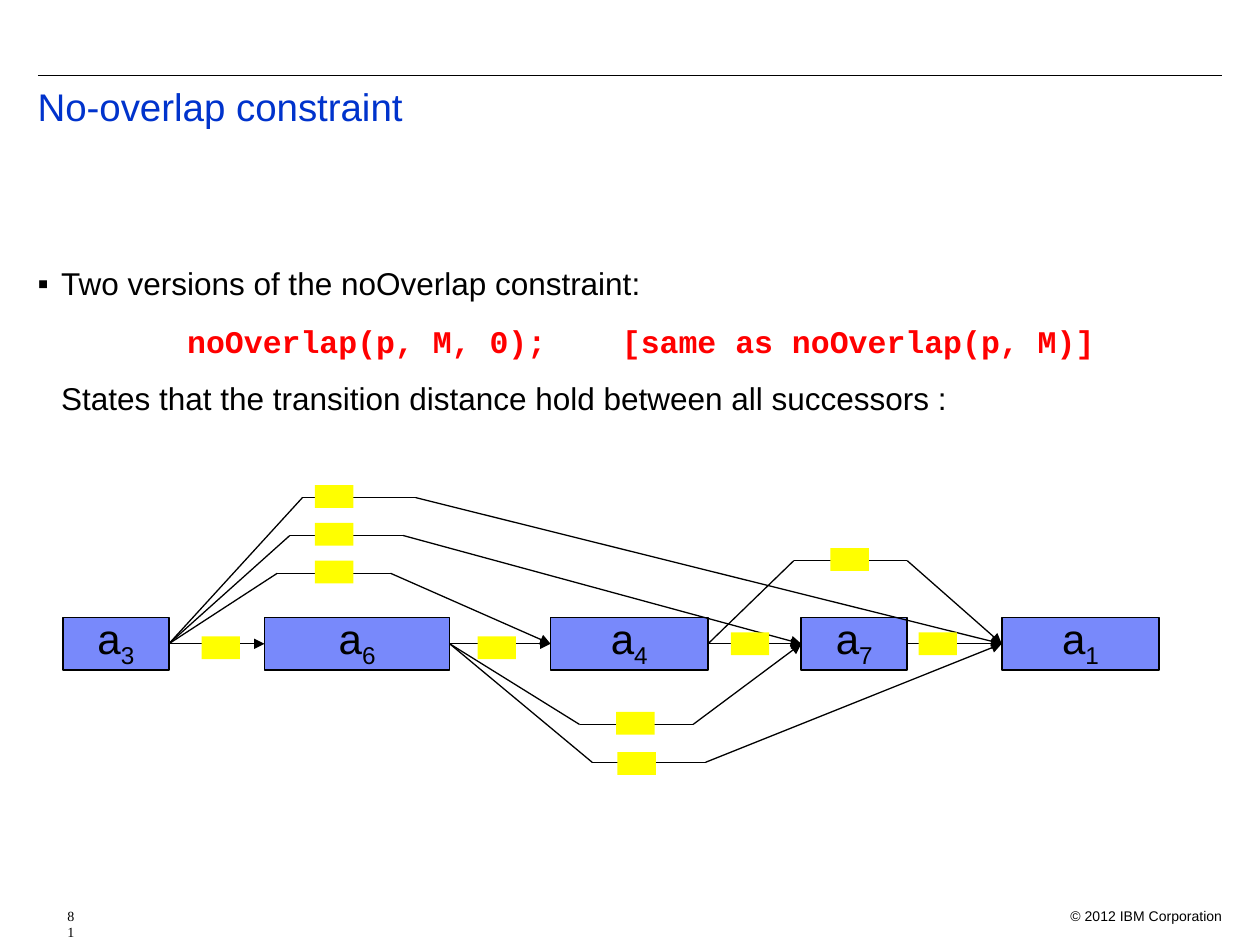
from itertools import pairwise

from lxml.etree import SubElement
from pptx import Presentation
from pptx.dml.color import RGBColor
from pptx.enum.shapes import MSO_CONNECTOR, MSO_SHAPE
from pptx.enum.text import MSO_ANCHOR, PP_ALIGN
from pptx.oxml.ns import qn
from pptx.util import Pt

BLACK = RGBColor(0x00, 0x00, 0x00)
TITLE_BLUE = RGBColor(0x00, 0x33, 0xCC)
CODE_RED = RGBColor(0xFF, 0x00, 0x00)
ACTIVITY_BLUE = RGBColor(0x78, 0x89, 0xFB)
DISTANCE_YELLOW = RGBColor(0xFF, 0xFF, 0x00)

ACTIVITY_TOP, ACTIVITY_HEIGHT = 352.8, 30.2
AXIS = ACTIVITY_TOP + ACTIVITY_HEIGHT / 2
PLATEAU = 64.8
ACTIVITIES = [("3", 36, 60.5), ("6", 151.2, 105.8), ("4", 314.6, 90),
              ("7", 457.9, 60.5), ("1", 572.4, 90)]
DETOURS = [("3", "4", 158.4, 327.6), ("3", "7", 165.6, 306),
           ("3", "1", 172.8, 284.4), ("6", "7", 331.2, 414),
           ("6", "1", 338.4, 435.6), ("4", "1", 453.6, 320.4)]
DISTANCES = [(180, 320.4), (180, 298.8), (180, 277.2), (115.2, 363.6),
             (272.9, 363.6), (352.1, 406.8), (352.8, 429.8),
             (474.5, 313.2), (417.6, 361.4), (524.9, 361.4)]


def add_run(paragraph, text, size, color=BLACK, font="Arial", bold=False):
    run = paragraph.add_run()
    run.text = text
    run.font.size = Pt(size)
    run.font.name = font
    run.font.bold = bold
    run.font.color.rgb = color
    return run


def add_text_frame(slide, left, top, width, height):
    frame = slide.shapes.add_textbox(Pt(left), Pt(top), Pt(width), Pt(height)).text_frame
    frame.word_wrap = True
    return frame


def indent(paragraph, margin, first_line=0, bullet=None):
    properties = paragraph._p.get_or_add_pPr()
    properties.set("marL", str(Pt(margin)))
    properties.set("indent", str(Pt(first_line)))
    if bullet:
        SubElement(properties, qn("a:buFont"), typeface="Arial")
        SubElement(properties, qn("a:buChar"), char=bullet)


def add_line(slide, start, end, arrow=False):
    points = [Pt(value) for value in (*start, *end)]
    line = slide.shapes.add_connector(MSO_CONNECTOR.STRAIGHT, *points)
    line.line.color.rgb = BLACK
    line.line.width = Pt(0.75)
    if arrow:
        SubElement(line.line._get_or_add_ln(), qn("a:tailEnd"), type="triangle")
    SubElement(line._element.spPr, qn("a:effectLst"))


def add_block(slide, left, top, width, height, color):
    block = slide.shapes.add_shape(
        MSO_SHAPE.RECTANGLE, Pt(left), Pt(top), Pt(width), Pt(height))
    block.shadow.inherit = False
    block.fill.solid()
    block.fill.fore_color.rgb = color
    block.line.fill.background()
    return block


def add_activity(slide, index, left, width):
    block = add_block(slide, left, ACTIVITY_TOP, width, ACTIVITY_HEIGHT, ACTIVITY_BLUE)
    block.line.color.rgb = BLACK
    block.line.width = Pt(1)
    frame = block.text_frame
    frame.word_wrap = False
    frame.vertical_anchor = MSO_ANCHOR.MIDDLE
    label = frame.paragraphs[0]
    label.alignment = PP_ALIGN.CENTER
    label.line_spacing = 0.6
    add_run(label, "a", 24)
    subscript = add_run(label, index, 24)
    subscript.font._element.set("baseline", "-25000")


def add_detour(slide, start, end, bend_x, bend_y):
    rise, fall = (bend_x, bend_y), (bend_x + PLATEAU, bend_y)
    add_line(slide, start, rise)
    add_line(slide, rise, fall)
    add_line(slide, fall, end, arrow=True)


def add_body(slide):
    frame = add_text_frame(slide, 14.4, 147.6, 684, 352.8)
    intro = frame.paragraphs[0]
    indent(intro, 13.5, -13.5, "▪")
    add_run(intro, "Two versions of the noOverlap constraint:", 18)

    code = frame.add_paragraph()
    indent(code, 85.5)
    code.space_before = Pt(11.2)
    add_run(code, "noOverlap(p, M, 0);    [same as noOverlap(p, M)]", 18,
            CODE_RED, "Courier New", True)

    meaning = frame.add_paragraph()
    indent(meaning, 13.5)
    meaning.space_before = Pt(11.2)
    add_run(meaning, "States that the transition distance hold between all successors :", 18)


def add_sequence(slide):
    for activity in ACTIVITIES:
        add_activity(slide, *activity)
    entry = {index: (left, AXIS) for index, left, _ in ACTIVITIES}
    leaving = {index: (left + width, AXIS) for index, left, width in ACTIVITIES}
    for before, after in pairwise(entry):
        add_line(slide, leaving[before], entry[after], arrow=True)
    for before, after, bend_x, bend_y in DETOURS:
        add_detour(slide, leaving[before], entry[after], bend_x, bend_y)
    for left, top in DISTANCES:
        add_block(slide, left, top, 22, 13, DISTANCE_YELLOW)


def add_footer(slide):
    notice = add_text_frame(slide, 597.6, 514.8, 108, 14.4).paragraphs[0]
    notice.alignment = PP_ALIGN.RIGHT
    add_run(notice, "© 2012 IBM Corporation", 8)
    number = add_text_frame(slide, 14.4, 514.8, 28.8, 14.4).paragraphs[0]
    indent(number, 17)
    add_run(number, "81", 8, font="Times New Roman")


def main():
    deck = Presentation()
    deck.slide_width, deck.slide_height = Pt(720), Pt(540)
    slide = deck.slides.add_slide(deck.slide_layouts[6])
    add_line(slide, (21.6, 43.2), (698.4, 43.2))
    title = add_text_frame(slide, 14.4, 46.8, 684, 50.4).paragraphs[0]
    title.line_spacing = 0.9
    add_run(title, "No-overlap constraint", 22, TITLE_BLUE)
    add_body(slide)
    add_sequence(slide)
    add_footer(slide)
    deck.save("out.pptx")


if __name__ == "__main__":
    main()
